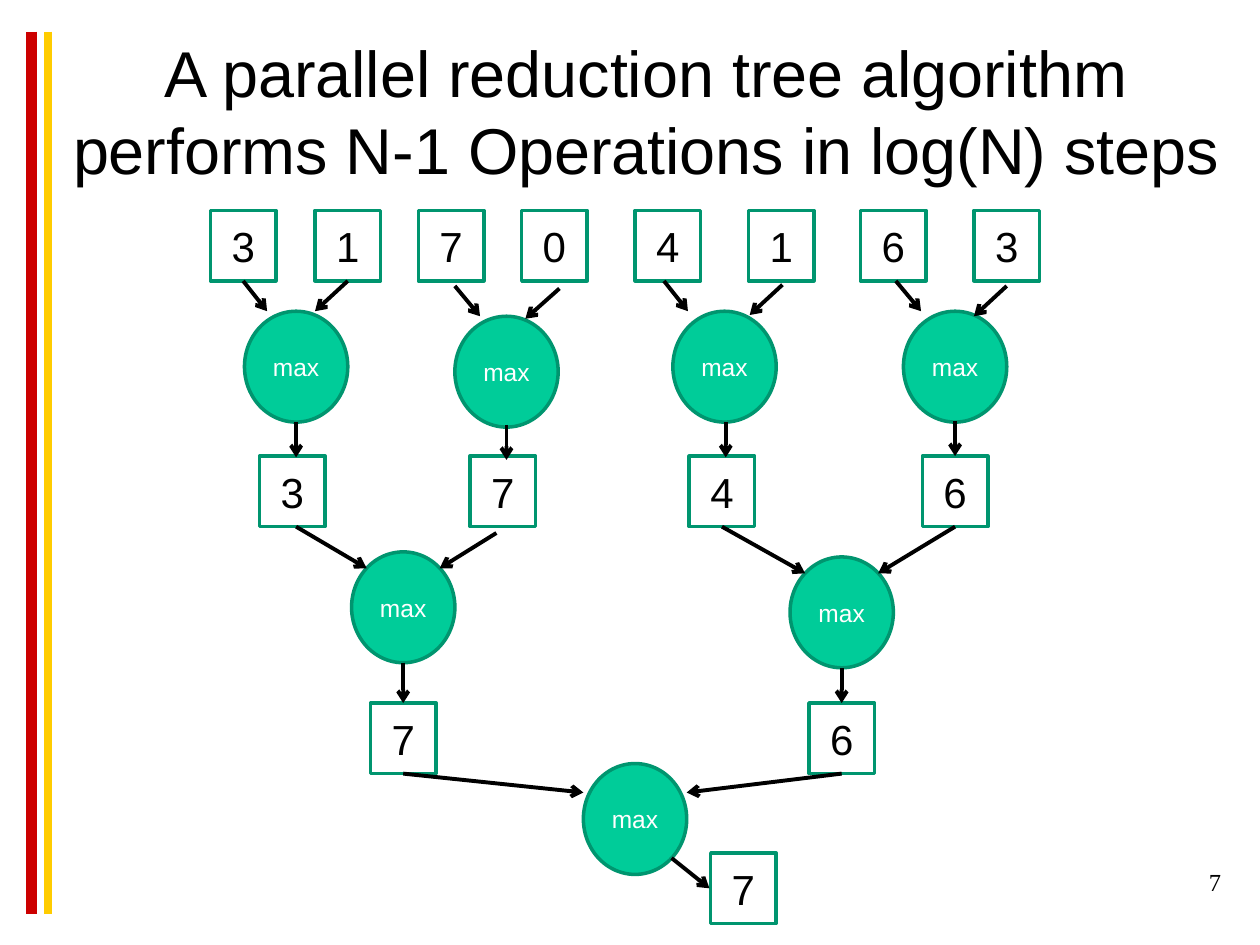
from pptx import Presentation
from pptx.dml.color import RGBColor
from pptx.enum.shapes import MSO_CONNECTOR as Conn, MSO_SHAPE as Kind
from pptx.enum.text import MSO_ANCHOR as Anchor, MSO_AUTO_SIZE as Fit, PP_ALIGN as Align
from pptx.oxml.ns import qn
from pptx.util import Inches, Pt
from lxml.etree import SubElement

hues = {
    "red": "CC0000", "gold": "FFCC00", "edge": "00956F",
    "green": "00CC99", "black": "000000", "white": "FFFFFF",
}

deck = Presentation()
deck.slide_width, deck.slide_height = Inches(10), Inches(7.5)
slide = deck.slides.add_slide(deck.slide_layouts[5])
shapes = slide.shapes


def style(para, text, size, hue, align=Align.CENTER, face="Arial"):
    para.text = text
    para.alignment = align
    para.font.size = Pt(size)
    para.font.name = face
    para.font.color.rgb = RGBColor.from_string(hues[hue])


def link(start, end, hue="black", width=2.25, arrow=True):
    line = shapes.add_connector(Conn.STRAIGHT, *map(Inches, start + end))
    line.line.color.rgb = RGBColor.from_string(hues[hue])
    line.line.width = Pt(width)
    props = line.line._get_or_add_ln()
    if arrow:
        SubElement(props, qn("a:tailEnd"), type="arrow")
    SubElement(props.getparent(), qn("a:effectLst"))


for x, hue, width in [(0.25, "red", 6), (0.38, "gold", 4.5)]:
    link((x, 0.25), (x, 7.25), hue, width, False)

title = shapes.title
title.left, title.top = Inches(0.42), Inches(0.25)
title.width, title.height = Inches(9.42), Inches(1.25)
frame = title.text_frame
frame.auto_size = Fit.NONE
frame.word_wrap = True
frame.vertical_anchor = Anchor.MIDDLE
style(frame.paragraphs[0],
      "A parallel reduction tree algorithm performs N-1 Operations in log(N) steps",
      37, "black")

page = shapes.add_textbox(Inches(7.71), Inches(6.83), Inches(2.08), Inches(0.5))
page.text_frame.word_wrap = True
style(page.text_frame.paragraphs[0], "7", 14, "black", Align.RIGHT, "Times New Roman")

rows = [
    (1.67, "31704163", [1.67, 2.5, 3.32, 4.14, 5.04, 5.94, 6.83, 7.73]),
    (3.62, "3746", [2.06, 3.73, 5.47, 7.32]),
    (5.58, "76", [2.94, 6.42]),
    (6.77, "7", [5.64]),
]
nodes = [(Kind.RECTANGLE, x, y, 0.52, 0.56, digit, 24, "black")
         for y, digits, lefts in rows for digit, x in zip(digits, lefts)]
spots = [(1.94, 2.47), (3.61, 2.51), (5.34, 2.47), (7.17, 2.47),
         (2.79, 4.38), (6.27, 4.42), (4.63, 6.06)]
nodes += [(Kind.OVAL, x, y, 0.82, 0.88, "max", 14, "white") for x, y in spots]

for kind, x, y, wide, high, text, size, hue in nodes:
    node = shapes.add_shape(kind, Inches(x), Inches(y), Inches(wide), Inches(high))
    node.shadow.inherit = False
    if kind == Kind.OVAL:
        node.fill.solid()
        node.fill.fore_color.rgb = RGBColor.from_string(hues["green"])
    else:
        node.fill.background()
    node.line.color.rgb = RGBColor.from_string(hues["edge"])
    node.line.width = Pt(2)
    node.text_frame.vertical_anchor = Anchor.MIDDLE
    style(node.text_frame.paragraphs[0], text, size, hue)

inputs = [
    ((1.93, 2.23), (2.12, 2.47)), ((2.76, 2.23), (2.5, 2.47)),
    ((3.61, 2.27), (3.81, 2.51)), ((4.44, 2.29), (4.17, 2.53)),
    ((5.27, 2.23), (5.46, 2.47)), ((6.21, 2.26), (5.95, 2.5)),
    ((7.11, 2.23), (7.31, 2.47)), ((7.99, 2.27), (7.73, 2.51)),
    ((2.35, 4.18), (2.91, 4.51)), ((3.94, 4.23), (3.49, 4.51)),
    ((5.73, 4.18), (6.39, 4.55)), ((7.58, 4.18), (6.97, 4.55)),
    ((3.2, 6.14), (4.63, 6.29)), ((6.68, 6.14), (5.45, 6.29)),
]
drops = [(2.35, 3.35, 3.63), (4.02, 3.37, 3.65), (5.76, 3.35, 3.63),
         (7.58, 3.34, 3.62), (3.2, 5.26, 5.58), (6.68, 5.3, 5.58)]
outputs = [((x, top), (x, end)) for x, top, end in drops]
outputs.append(((5.33, 6.81), (5.63, 7.05)))

for start, end in inputs + outputs:
    link(start, end)

deck.save("out.pptx")
